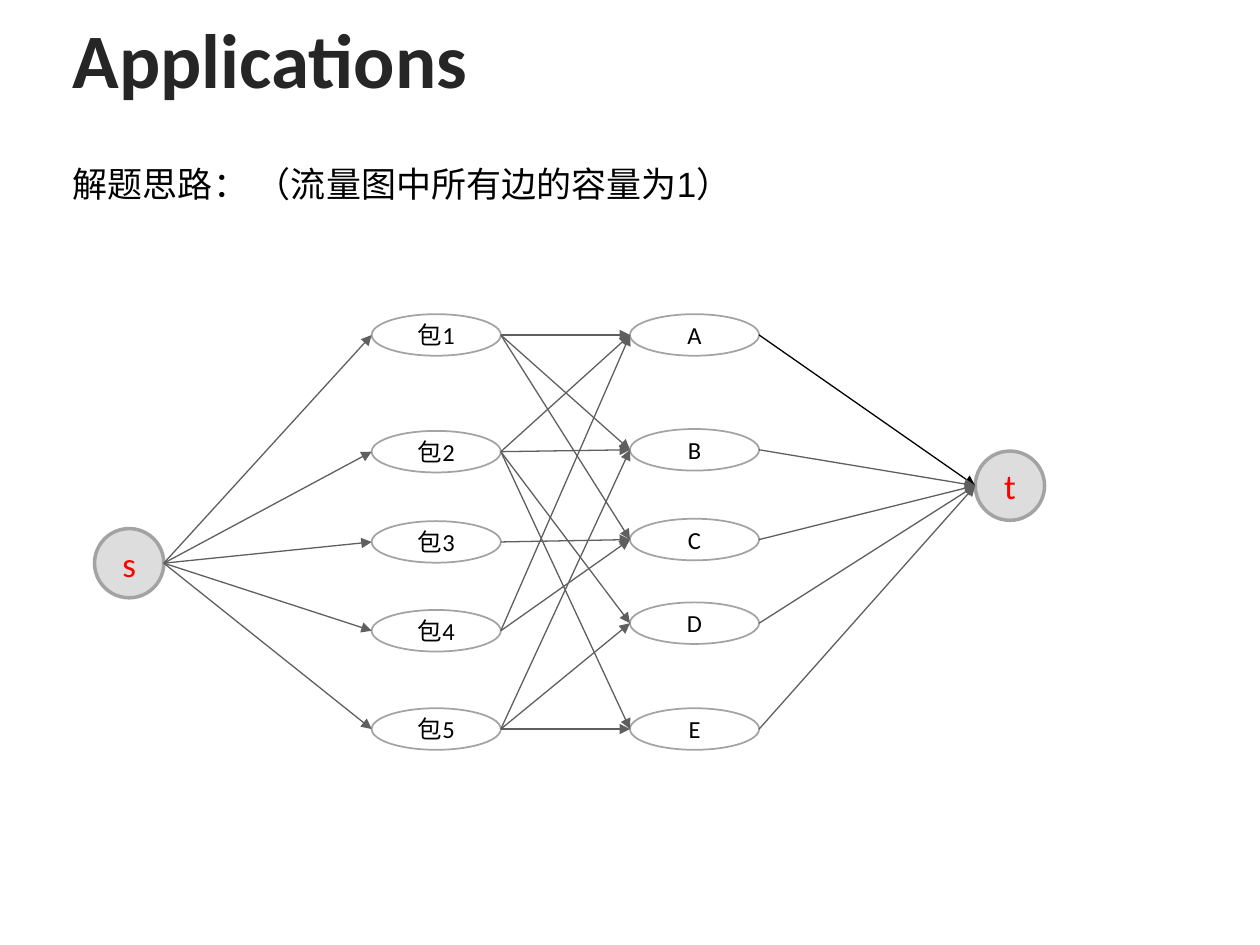
from lxml.etree import SubElement
from pptx import Presentation
from pptx.dml.color import RGBColor
from pptx.enum.shapes import MSO_CONNECTOR, MSO_SHAPE
from pptx.enum.text import MSO_ANCHOR, PP_ALIGN
from pptx.oxml.ns import qn
from pptx.util import Inches, Pt

# The slide is a grid of 100 columns by 100 rows.
WIDTH, HEIGHT = Inches(10), Inches(7.5)

TITLE_FONT = {"name": "Calibri", "size": Pt(44), "bold": True}
LEAD_FONT = {"name": "Arial", "size": Pt(20)}
ITEM_FONT = {"name": "Calibri", "size": Pt(14)}
TERMINAL_FONT = {"name": "Calibri", "size": Pt(20)}

BAG_COL, LETTER_COL, SINK_COL = 22, 42.5, 69.9
ITEM_SIZE = (10.25, 4.4)
TERMINAL_SIZE = (5.5, 7.33)
SOURCE_ROW, SINK_ROW = 26.4, 18.2
BAG_ROWS = {"1": 2.25, "2": 14.6, "3": 24.15, "4": 33.55, "5": 43.95}
LETTER_ROWS = {"A": 2.25, "B": 14.4, "C": 23.9, "D": 32.75, "E": 43.95}
BAG_CONTENTS = {"1": "ABC", "2": "ABDE", "3": "C", "4": "AC", "5": "BDE"}


def cols(n):
    return round(WIDTH * n / 100)


def rows(n):
    return round(HEIGHT * n / 100)


def color(hex_value):
    return RGBColor.from_string(hex_value)


def write(frame, text, font, hex_value):
    paragraph = frame.paragraphs[0]
    paragraph.text = text
    for key, value in font.items():
        setattr(paragraph.font, key, value)
    paragraph.font.color.rgb = color(hex_value)
    return paragraph


def add_heading(slide, box, text, font, hex_value, anchor):
    left, top, width, height = box
    heading = slide.shapes.add_textbox(cols(left), rows(top), cols(width), rows(height))
    heading.text_frame.word_wrap = True
    heading.text_frame.vertical_anchor = anchor
    write(heading.text_frame, text, font, hex_value)


def add_node(slide, left, middle, size, text, font, text_color, line_width, fill=None):
    """Draw an ellipse and return its left and right tips."""
    width, height = size
    node = slide.shapes.add_shape(
        MSO_SHAPE.OVAL, cols(left), rows(middle - height / 2), cols(width), rows(height))
    node.shadow.inherit = False
    if fill:
        node.fill.solid()
        node.fill.fore_color.rgb = color(fill)
    else:
        node.fill.background()
    node.line.color.rgb = color("A3A3A3")
    node.line.width = Pt(line_width)
    frame = node.text_frame
    frame.vertical_anchor = MSO_ANCHOR.MIDDLE
    for side in ("left", "top", "right", "bottom"):
        setattr(frame, f"margin_{side}", 0)
    write(frame, text, font, text_color).alignment = PP_ALIGN.CENTER
    return (left, middle), (left + width, middle)


def add_arrow(slide, start, end, hex_value="5F5F5F"):
    arrow = slide.shapes.add_connector(
        MSO_CONNECTOR.STRAIGHT, cols(start[0]), rows(start[1]), cols(end[0]), rows(end[1]))
    arrow.line.color.rgb = color(hex_value)
    arrow.line.width = Pt(0.75)
    SubElement(arrow.line._get_or_add_ln(), qn("a:tailEnd"), type="triangle")
    SubElement(arrow._element.spPr, qn("a:effectLst"))


def add_flow_graph(slide, left, top):
    def terminal(col, row, text):
        return add_node(slide, left + col, top + row, TERMINAL_SIZE, text,
                        TERMINAL_FONT, "FF0000", 2, "DDDDDD")

    def layer(col, row_by_key, prefix=""):
        return {key: add_node(slide, left + col, top + row, ITEM_SIZE, prefix + key,
                              ITEM_FONT, "000000", 1)
                for key, row in row_by_key.items()}

    bags = layer(BAG_COL, BAG_ROWS, "包")
    letters = layer(LETTER_COL, LETTER_ROWS)
    _, source_tip = terminal(0, SOURCE_ROW, "s")
    sink_tip, _ = terminal(SINK_COL, SINK_ROW, "t")

    for bag, (bag_in, bag_out) in bags.items():
        add_arrow(slide, source_tip, bag_in)
        for letter in BAG_CONTENTS[bag]:
            add_arrow(slide, bag_out, letters[letter][0])
    for letter, (_, letter_out) in letters.items():
        add_arrow(slide, letter_out, sink_tip, "000000" if letter == "A" else "5F5F5F")


def main():
    deck = Presentation()
    deck.slide_width, deck.slide_height = WIDTH, HEIGHT
    slide = deck.slides.add_slide(deck.slide_layouts[6])
    add_heading(slide, (4.8, 1.07, 91.9, 10), "Applications",
                TITLE_FONT, "262626", MSO_ANCHOR.MIDDLE)
    add_heading(slide, (4.8, 16.53, 75.4, 5.87), "解题思路： （流量图中所有边的容量为1）",
                LEAD_FONT, "000000", MSO_ANCHOR.TOP)
    add_flow_graph(slide, 7.5, 33.2)
    deck.save("out.pptx")


if __name__ == "__main__":
    main()
